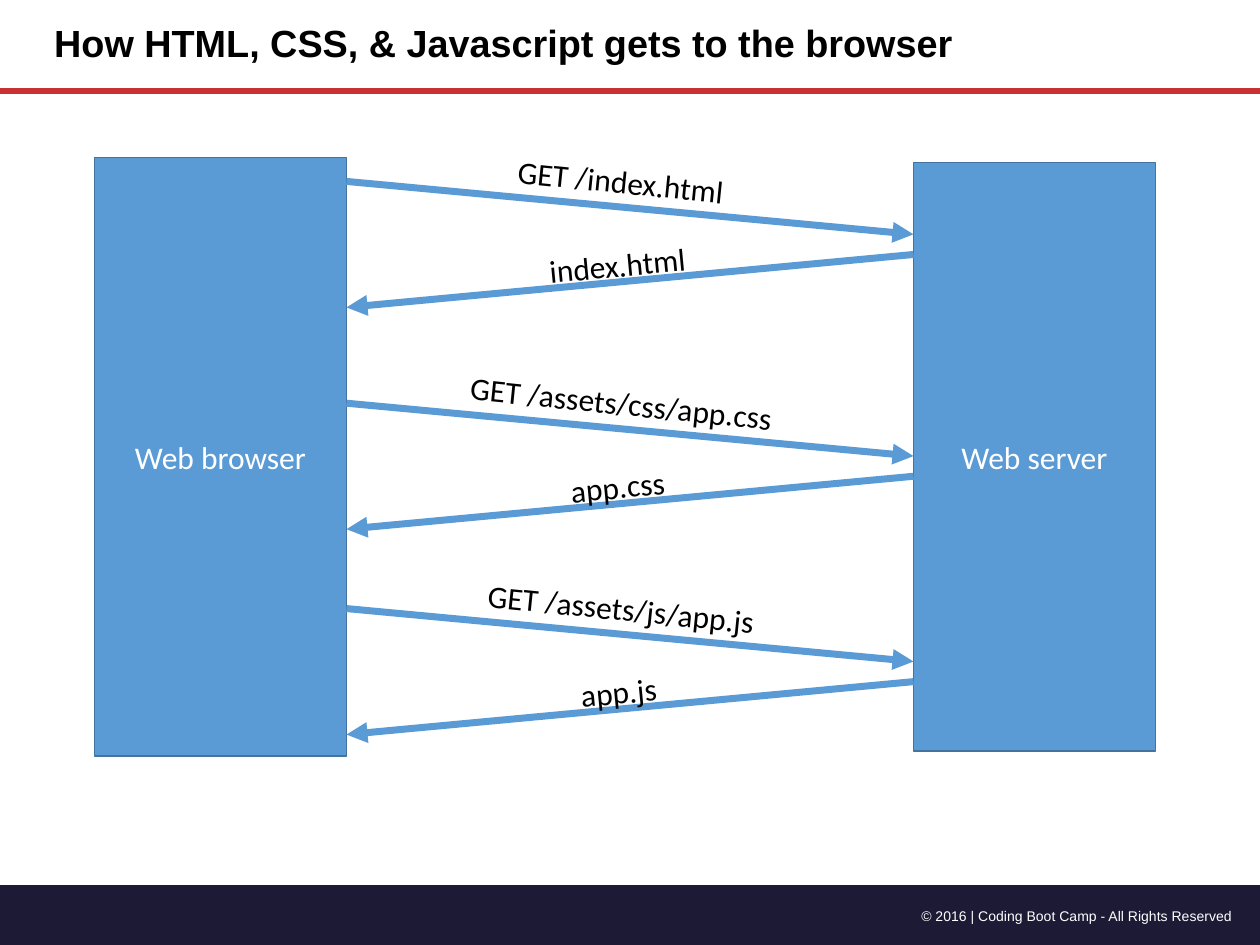
from dataclasses import dataclass
from lxml import etree
from pptx import Presentation
from pptx import util as u
from pptx.dml.color import RGBColor
from pptx.enum import shapes, text
from pptx.oxml.ns import qn

SCALE = 9144
COLORS = {
    "band": "1D1A36", "rule": "C83232", "blue": "5B9BD5",
    "edge": "43739E", "white": "FFFFFF", "black": "000000",
}
LEFT_X, RIGHT_X = 275, 725
DROP, REPLY_GAP = 42, 58


@dataclass
class Node:
    name: str
    x: int
    y: int
    w: int
    h: int


@dataclass
class Exchange:
    y: int
    request: str
    request_w: int
    response: str
    response_w: int


NODES = [
    Node("Web browser", 75, 125, 200, 475),
    Node("Web server", 725, 129, 192, 467),
]
EXCHANGES = [
    Exchange(144, "GET /index.html", 186, "index.html", 130),
    Exchange(320, "GET /assets/css/app.css", 263, "app.css", 96),
    Exchange(483, "GET /assets/js/app.js", 234, "app.js", 81),
]


def px(n: int) -> int:
    return u.Emu(n * SCALE)


def rgb(name: str) -> RGBColor:
    return RGBColor.from_string(COLORS[name])


def style_text(tf, font: str, size: float, color: str, align, bold: bool = False) -> None:
    p = tf.paragraphs[0]
    p.alignment = align
    r = p.runs[0]
    r.font.name = font
    r.font.size = u.Pt(size)
    r.font.bold = bold
    r.font.color.rgb = rgb(color)


def add_box(s, shape_type, x: int, y: int, w: int, h: int, fill: str):
    sp = s.shapes.add_shape(shape_type, px(x), px(y), px(w), px(h))
    sp.shadow.inherit = False
    sp.fill.solid()
    sp.fill.fore_color.rgb = rgb(fill)
    sp.line.fill.background()
    return sp


def add_label(s, label: str, x: int, y: int, w: int, h: int):
    sp = s.shapes.add_textbox(px(x), px(y), px(w), px(h))
    tf = sp.text_frame
    tf.word_wrap = False
    tf.auto_size = text.MSO_AUTO_SIZE.SHAPE_TO_FIT_TEXT
    tf.text = label
    return sp


def add_line(s, x1: int, y1: int, x2: int, y2: int, color: str, width: float, arrow: bool = False) -> None:
    line = s.shapes.add_connector(shapes.MSO_CONNECTOR.STRAIGHT, px(x1), px(y1), px(x2), px(y2))
    line.line.color.rgb = rgb(color)
    line.line.width = u.Pt(width)
    if arrow:
        etree.SubElement(line.line._get_or_add_ln(), qn("a:tailEnd"), type="triangle")
    etree.SubElement(line._element.spPr, qn("a:effectLst"))


def add_title(s, title: str) -> None:
    sp = s.shapes.title
    sp.left, sp.top, sp.width, sp.height = px(33), px(0), px(758), px(72)
    tf = sp.text_frame
    tf.text = title
    tf.word_wrap = True
    tf.auto_size = text.MSO_AUTO_SIZE.NONE
    tf.vertical_anchor = text.MSO_ANCHOR.MIDDLE
    tf.paragraphs[0].line_spacing = 0.9
    style_text(tf, "Arial", 21.6, "black", text.PP_ALIGN.LEFT, bold=True)


def add_node(s, node: Node) -> None:
    sp = add_box(s, shapes.MSO_SHAPE.RECTANGLE, node.x, node.y, node.w, node.h, "blue")
    sp.line.color.rgb = rgb("edge")
    sp.line.width = u.Pt(1)
    tf = sp.text_frame
    tf.text = node.name
    tf.vertical_anchor = text.MSO_ANCHOR.MIDDLE
    style_text(tf, "Calibri", 18, "white", text.PP_ALIGN.CENTER)


def add_message(s, label: str, w: int, center: int, label_y: int, rotation: float,
                x1: int, x2: int, y: int) -> None:
    add_line(s, x1, y, x2, y + DROP, "blue", 4, arrow=True)
    sp = add_label(s, label, center - w // 2, label_y, w, 40)
    sp.rotation = rotation
    style_text(sp.text_frame, "Calibri", 18, "black", text.PP_ALIGN.LEFT)


def add_exchange(s, ex: Exchange) -> None:
    add_message(s, ex.request, ex.request_w, 494, ex.y - 20, 5.9, LEFT_X, RIGHT_X, ex.y)
    reply_y = ex.y + REPLY_GAP
    add_message(s, ex.response, ex.response_w, 491, reply_y - 12, 354.6, RIGHT_X, LEFT_X, reply_y)


def main() -> None:
    prs = Presentation()
    prs.slide_width, prs.slide_height = px(1000), px(750)
    s = prs.slides.add_slide(prs.slide_layouts[5])
    add_box(s, shapes.MSO_SHAPE.FLOWCHART_PROCESS, 0, 702, 1000, 48, "band")
    footer = add_label(s, "© 2016 | Coding Boot Camp - All Rights Reserved", 683, 715, 305, 24)
    footer.text_frame.word_wrap = True
    style_text(footer.text_frame, "Arial", 8, "white", text.PP_ALIGN.RIGHT)
    add_line(s, 0, 72, 1000, 72, "rule", 3.25)
    add_title(s, "How HTML, CSS, & Javascript gets to the browser")
    for node in NODES:
        add_node(s, node)
    for ex in EXCHANGES:
        add_exchange(s, ex)
    prs.save("out.pptx")


if __name__ == "__main__":
    main()
